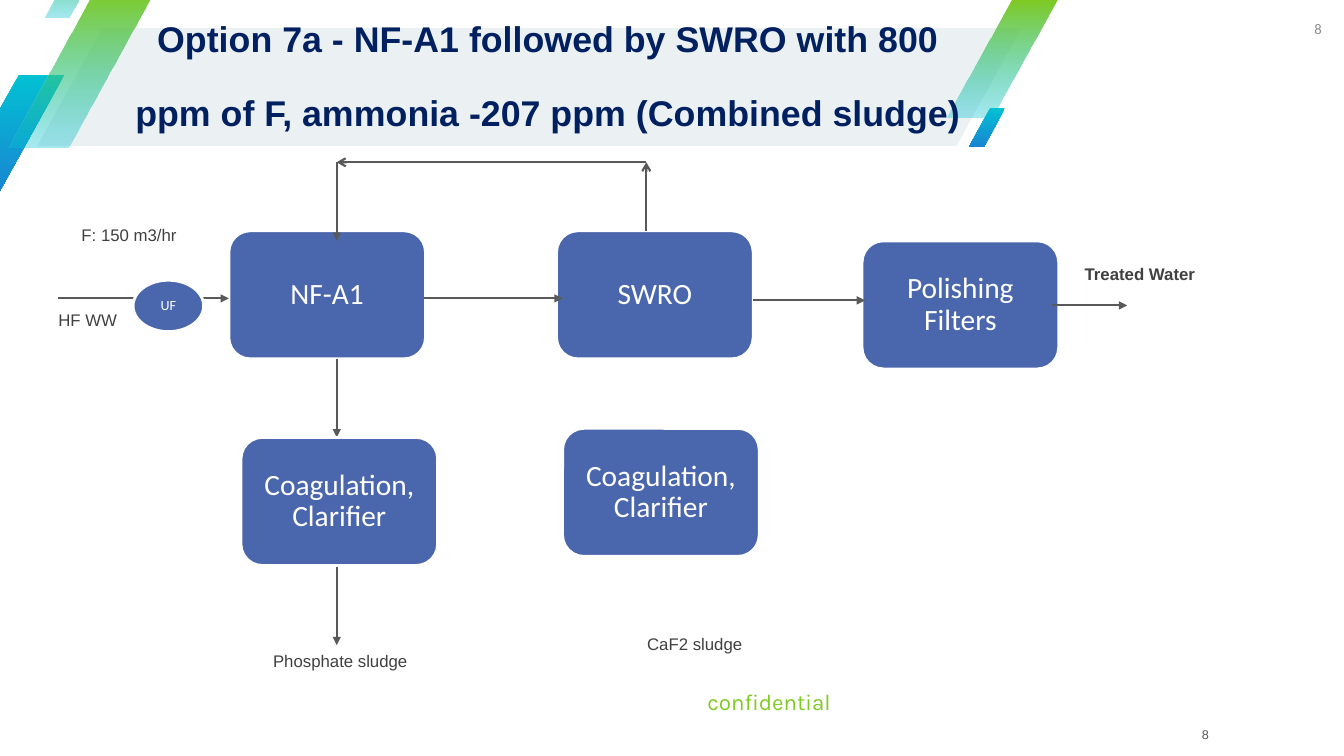
import pptx
import pptx.dml.color
import pptx.enum.shapes
import pptx.enum.text
import pptx.oxml
import pptx.oxml.ns
import pptx.util

Inches = pptx.util.Inches
Pt = pptx.util.Pt
RGBColor = pptx.dml.color.RGBColor
ShapeType = pptx.enum.shapes.MSO_SHAPE
Align = pptx.enum.text.PP_ALIGN
Anchor = pptx.enum.text.MSO_ANCHOR

WHITE = RGBColor(0xFF, 0xFF, 0xFF)
BANNER = RGBColor(0xEB, 0xF0, 0xF3)
CYAN = RGBColor(0x02, 0xC1, 0xD3)
BLUE = RGBColor(0x19, 0x85, 0xD2)
GREEN = RGBColor(0x7F, 0xCA, 0x20)
NAVY = RGBColor(0x00, 0x20, 0x60)
UNIT_BLUE = RGBColor(0x4A, 0x66, 0xAC)
FLOW_GRAY = RGBColor(0x59, 0x59, 0x59)
LABEL_GRAY = RGBColor(0x40, 0x40, 0x40)
PAGE_GRAY = RGBColor(0x8C, 0x8C, 0x8C)

MEMBRANE = "NF-A1"
UNIT_WIDTH, UNIT_HEIGHT = 1.95, 1.27
NF_X, SWRO_X = 3.34, 6.41
RECYCLE_Y = 1.61


def xml_element(tag, attributes=""):
    namespace = pptx.oxml.ns.nsdecls("a")
    return pptx.oxml.parse_xml(f"<a:{tag} {namespace} {attributes}/>")


def add_run(paragraph, text, size, color, font="Arial", bold=False):
    run = paragraph.add_run()
    run.text = text
    run.font.name = font
    run.font.size = Pt(size)
    run.font.bold = bold
    run.font.color.rgb = color
    return run


def set_margins(frame, horizontal, vertical):
    frame.margin_left = frame.margin_right = Inches(horizontal)
    frame.margin_top = frame.margin_bottom = Inches(vertical)


def add_parallelogram(slide, left, top, width, height, slant=0.59):
    shape = slide.shapes.add_shape(ShapeType.PARALLELOGRAM, Inches(left), Inches(top),
                                   Inches(width), Inches(height))
    shape.adjustments[0] = slant
    shape.shadow.inherit = False
    shape.line.fill.background()
    return shape


def add_gradient_stripe(slide, left, top, width, height, start, end, end_opacity=100):
    shape = add_parallelogram(slide, left, top, width, height)
    shape.fill.gradient()
    shape.fill.gradient_angle = 270
    for stop, color in zip(shape.fill.gradient_stops, (start, end)):
        stop.color.rgb = color
    if end_opacity < 100:
        end_color = shape._element.spPr.xpath(".//a:gs/a:srgbClr")[-1]
        end_color.append(xml_element("alpha", f'val="{end_opacity * 1000}"'))


def add_unit(slide, text, left, top, width=UNIT_WIDTH, height=UNIT_HEIGHT,
             kind=ShapeType.ROUNDED_RECTANGLE, size=21, margin=0.09):
    shape = slide.shapes.add_shape(kind, Inches(left), Inches(top),
                                   Inches(width), Inches(height))
    shape.shadow.inherit = False
    shape.fill.solid()
    shape.fill.fore_color.rgb = UNIT_BLUE
    shape.line.color.rgb = WHITE
    shape.line.width = Pt(2)
    frame = shape.text_frame
    frame.word_wrap = True
    frame.vertical_anchor = Anchor.MIDDLE
    set_margins(frame, margin, margin)
    paragraph = frame.paragraphs[0]
    paragraph.alignment = Align.CENTER
    paragraph.line_spacing = 0.9
    add_run(paragraph, text, size, WHITE, "Calibri")


def add_arrow(slide, start_x, start_y, end_x, end_y, head="triangle"):
    connector = slide.shapes.add_connector(
        pptx.enum.shapes.MSO_CONNECTOR.STRAIGHT,
        Inches(start_x), Inches(start_y), Inches(end_x), Inches(end_y))
    connector.line.color.rgb = FLOW_GRAY
    connector.line.width = Pt(1.5)
    connector.line._get_or_add_ln().append(xml_element("tailEnd", f'type="{head}"'))
    connector._element.spPr.append(xml_element("effectLst"))


def add_text(slide, text, left, top, width, height, size=12, color=LABEL_GRAY,
             font="Arial", bold=False, align=Align.LEFT, anchor=Anchor.TOP,
             margins=(0.1, 0.05)):
    frame = slide.shapes.add_textbox(Inches(left), Inches(top),
                                     Inches(width), Inches(height)).text_frame
    frame.word_wrap = True
    frame.vertical_anchor = anchor
    set_margins(frame, *margins)
    frame.paragraphs[0].alignment = align
    add_run(frame.paragraphs[0], text, size, color, font, bold)


def add_header(slide):
    banner = add_parallelogram(slide, 0.37, 0.28, 9.76, 1.17, 0.55)
    banner.fill.solid()
    banner.fill.fore_color.rgb = BANNER
    add_gradient_stripe(slide, -0.46, 0.74, 1.1, 1.17, CYAN, BLUE)
    for box in ((9.39, 0, 1.1, 1.17), (0.08, -0.1, 1.46, 1.56), (0.44, -0.48, 0.61, 0.65)):
        add_gradient_stripe(slide, *box, GREEN, CYAN, 34)
    add_gradient_stripe(slide, 9.61, 1.07, 0.36, 0.39, CYAN, BLUE)


def format_title(slide, text):
    title = slide.shapes.title
    title.left, title.top = Inches(1.18), Inches(0.52)
    title.width, title.height = Inches(8.51), Inches(0.62)
    frame = title.text_frame
    frame.word_wrap = True
    frame.auto_size = pptx.enum.text.MSO_AUTO_SIZE.NONE
    frame.vertical_anchor = Anchor.MIDDLE
    frame.paragraphs[0].alignment = Align.CENTER
    run = add_run(frame.paragraphs[0], text, 44, NAVY, bold=True)
    run.font._element.set("baseline", "30000")
    # Bring the title in front of the banner
    slide.shapes._spTree.append(title._element)


def main():
    presentation = pptx.Presentation()
    presentation.slide_width = Inches(13.33)
    presentation.slide_height = Inches(7.5)
    slide = presentation.slides.add_slide(presentation.slide_layouts[5])

    # Header, footer and page numbers
    add_header(slide)
    format_title(slide, f"Option 7a - {MEMBRANE} followed by SWRO with 800 ppm of F, "
                        "ammonia -207 ppm (Combined sludge)")
    add_text(slide, "confidential", 4.67, 6.67, 3.57, 0.57, 16, GREEN, "Karla",
             align=Align.RIGHT, anchor=Anchor.MIDDLE, margins=(0, 0))
    add_text(slide, "8", 12.48, 0, 0.63, 0.57, 10.5, PAGE_GRAY, "Calibri",
             align=Align.RIGHT, anchor=Anchor.MIDDLE, margins=(0, 0))
    add_text(slide, "8", 10.59, 7.09, 2.73, 0.4, 9, FLOW_GRAY,
             align=Align.CENTER, anchor=Anchor.MIDDLE)

    # Treatment units and the flows between them
    add_unit(slide, "SWRO", 5.52, 2.29)
    add_unit(slide, MEMBRANE, 2.27, 2.29)
    add_arrow(slide, 0.58, 2.96, 2.27, 2.96)
    add_arrow(slide, 4.21, 2.96, 5.58, 2.96)
    add_arrow(slide, NF_X, 3.56, NF_X, 4.34)
    add_unit(slide, "Polishing Filters", 8.55, 2.39)
    add_arrow(slide, 10.43, 3.03, 11.18, 3.03)
    add_arrow(slide, 7.47, 2.98, 8.58, 2.98)
    add_arrow(slide, NF_X, 5.62, NF_X, 6.4)
    add_unit(slide, "Coagulation, Clarifier", 2.39, 4.34)
    add_unit(slide, "Coagulation, Clarifier", 5.58, 4.25)
    add_unit(slide, "UF", 1.32, 2.78, 0.7, 0.51, ShapeType.OVAL, 10, 0.05)

    # Recycle loop from SWRO back to nanofiltration
    add_arrow(slide, SWRO_X, 2.29, SWRO_X, RECYCLE_Y, "arrow")
    add_arrow(slide, SWRO_X, RECYCLE_Y, NF_X, RECYCLE_Y, "arrow")
    add_arrow(slide, NF_X, RECYCLE_Y, NF_X, 2.39)

    # Stream labels
    for text, left, top in (("HF WW", 0.48, 3.02), ("F: 150 m3/hr", 0.71, 2.18),
                            ("Phosphate sludge", 2.61, 6.41), ("CaF2 sludge", 6.32, 6.24)):
        add_text(slide, text, left, top, 2.22, 0.3)
    add_text(slide, "Treated Water", 10.66, 2.57, 2.67, 0.3, bold=True)

    presentation.save("out.pptx")


if __name__ == "__main__":
    main()
